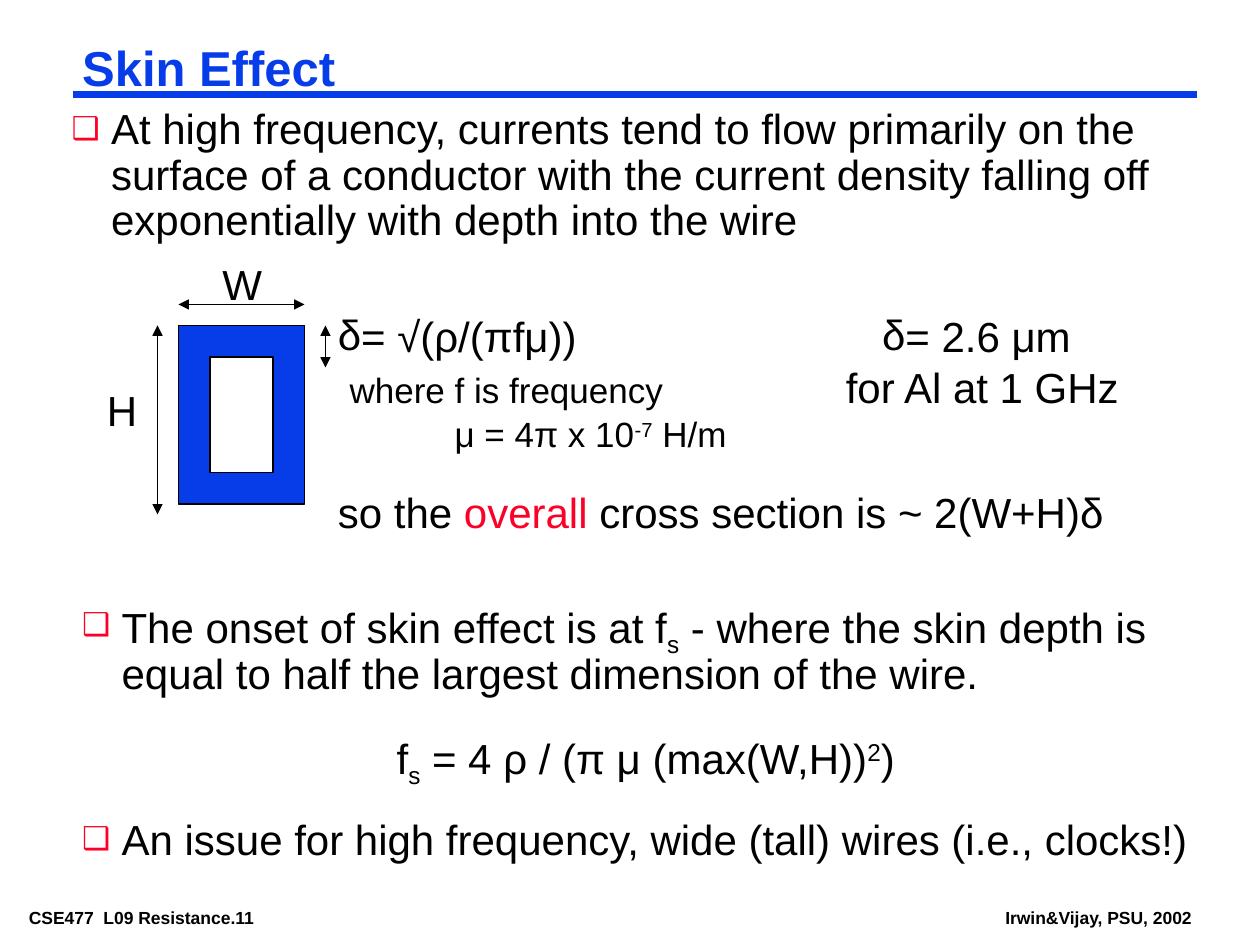
import pptx
import pptx.util
import pptx.dml.color
import pptx.enum.shapes
import pptx.enum.text
import pptx.oxml.ns
from dataclasses import dataclass
from lxml import etree

Pt = pptx.util.Pt
RGB = pptx.dml.color.RGBColor.from_string
qn = pptx.oxml.ns.qn
Align = pptx.enum.text.PP_ALIGN


@dataclass(frozen=True)
class Theme:
    font: str = "Arial"
    blue: str = "063DE8"
    red: str = "FC0128"
    black: str = "000000"
    white: str = "FFFFFF"
    title: int = 28
    body: int = 24
    detail: int = 20
    footer: int = 10


theme = Theme()


def write_text(box, paragraphs, inset=(5, 2), wrap=True):
    frame = box.text_frame
    frame.word_wrap = wrap
    frame.auto_size = pptx.enum.text.MSO_AUTO_SIZE.NONE
    frame.vertical_anchor = pptx.enum.text.MSO_ANCHOR.TOP
    frame.margin_left = frame.margin_right = Pt(inset[0])
    frame.margin_top = frame.margin_bottom = Pt(inset[1])
    for index, style in enumerate(paragraphs):
        para = frame.add_paragraph() if index else frame.paragraphs[0]
        properties = para._p.get_or_add_pPr()
        properties.set("marL", str(Pt(style.get("left", 0))))
        properties.set("indent", str(Pt(style.get("indent", 0))))
        if "bullet" in style:
            color = etree.SubElement(properties, qn("a:buClr"))
            etree.SubElement(color, qn("a:srgbClr"), val=style["bullet_color"])
            etree.SubElement(properties, qn("a:buSzPct"), val=style["bullet_size"])
            etree.SubElement(properties, qn("a:buFont"), typeface=theme.font)
            etree.SubElement(properties, qn("a:buChar"), char=style["bullet"])
        para.alignment = style.get("align", Align.LEFT)
        para.line_spacing = style.get("spacing", 1.0)
        para.space_before = Pt(style.get("before", 0) if index else 0)
        for text, *change in style["spans"]:
            look = {**style, **(change[0] if change else {})}
            span = para.add_run()
            span.text = text
            span.font.name = theme.font
            span.font.size = Pt(look.get("size", theme.body))
            span.font.bold = look.get("bold", False)
            span.font.color.rgb = RGB(look.get("color", theme.black))
            if "baseline" in look:
                span._r.get_or_add_rPr().set("baseline", look["baseline"])


def add_line(slide, start, end, color, width, arrows=False):
    line = slide.shapes.add_connector(
        pptx.enum.shapes.MSO_CONNECTOR.STRAIGHT, *map(Pt, start + end))
    line.line.color.rgb = RGB(color)
    line.line.width = Pt(width)
    if arrows:
        outline = line.line._get_or_add_ln()
        for tag in ("a:headEnd", "a:tailEnd"):
            etree.SubElement(outline, qn(tag), type="triangle")
    etree.SubElement(line._element.spPr, qn("a:effectLst"))


deck = pptx.Presentation()
deck.slide_width, deck.slide_height = Pt(720), Pt(540)
page = deck.slides.add_slide(deck.slide_layouts[5])

footers = [
    ((11.5, 516.2, 176.4, 15.8), "CSE477  L09 Resistance.11"),
    ((569.5, 516.2, 117.4, 15.8), "Irwin&Vijay, PSU, 2002"),
]
for place, text in footers:
    box = page.shapes.add_textbox(*map(Pt, place))
    write_text(box, [dict(spans=[(text,)], size=theme.footer, bold=True)], wrap=False)

add_line(page, (42, 54), (684, 54), theme.blue, 4.5)

title = page.shapes.title
title.left, title.top, title.width, title.height = map(Pt, (42, 23.8, 642, 33))
write_text(title, [dict(spans=[("Skin Effect",)], size=theme.title, bold=True,
                        color=theme.blue, spacing=0.87)])

rectangles = [
    ((102, 186, 72, 102), theme.blue),
    ((120, 204, 36, 66), theme.white),
]
for place, color in rectangles:
    section = page.shapes.add_shape(
        pptx.enum.shapes.MSO_SHAPE.RECTANGLE, *map(Pt, place))
    section.shadow.inherit = False
    section.fill.solid()
    section.fill.fore_color.rgb = RGB(color)
    section.line.color.rgb = RGB(theme.black)
    section.line.width = Pt(1)

dimensions = [((90, 186), (90, 294)), ((102, 174), (174, 174)), ((186, 186), (186, 210))]
for start, end in dimensions:
    add_line(page, start, end, theme.black, 1, arrows=True)

hanging = dict(left=22.5, indent=-22.5, spacing=0.9, before=19.5)
point = dict(hanging, bullet="❑", bullet_color=theme.red, bullet_size="75000")
delta = dict(bullet="δ", bullet_color=theme.black, bullet_size="100000")
lower = dict(baseline="-25000")
upper = dict(baseline="30000")

texts = [
    ((36, 60, 642, 82), (5, 2), [
        dict(point, spans=[("At high frequency, currents tend to flow primarily on the "
                            "surface of a conductor with the current density falling off "
                            "exponentially with depth into the wire",)]),
    ]),
    ((54, 216, 36, 36), (7.2, 3.6), [dict(spans=[("H",)])]),
    ((120, 144, 36, 36), (7.2, 3.6), [dict(spans=[("W",)])]),
    ((186, 174, 504, 137), (7.2, 3.6), [
        dict(delta, spans=[("= √(ρ/(πfμ))",)]),
        dict(spans=[("where f is frequency",)], size=theme.detail, left=6.7, before=4.5),
        dict(spans=[("μ = 4π x 10",), ("-7", upper), (" H/m",)],
             size=theme.detail, left=66.7, before=1),
        dict(spans=[("so the ",), ("overall", dict(color=theme.red)),
                    (" cross section is ~ 2(W+H)δ",)], before=18.4),
    ]),
    ((450, 174, 216, 65), (7.2, 3.6), [
        dict(delta, spans=[("= 2.6 μm",)], align=Align.CENTER),
        dict(spans=[("for Al at 1 GHz",)], align=Align.CENTER, left=6.7),
    ]),
    ((42, 342, 654, 154), (5, 2), [
        dict(point, spans=[("The onset of skin effect is at f",), ("s", lower),
                           (" - where the skin depth is equal to half the largest "
                            "dimension of the wire.",)]),
        dict(hanging, align=Align.CENTER,
             spans=[("f",), ("s", lower), (" = 4 ρ / (π μ (max(W,H))",),
                    ("2", upper), (")",)]),
        dict(point, spans=[("An issue for high frequency, wide (tall) wires "
                            "(i.e., clocks!)",)]),
    ]),
]
for place, inset, paragraphs in texts:
    box = page.shapes.add_textbox(*map(Pt, place))
    write_text(box, paragraphs, inset)

deck.save("out.pptx")
